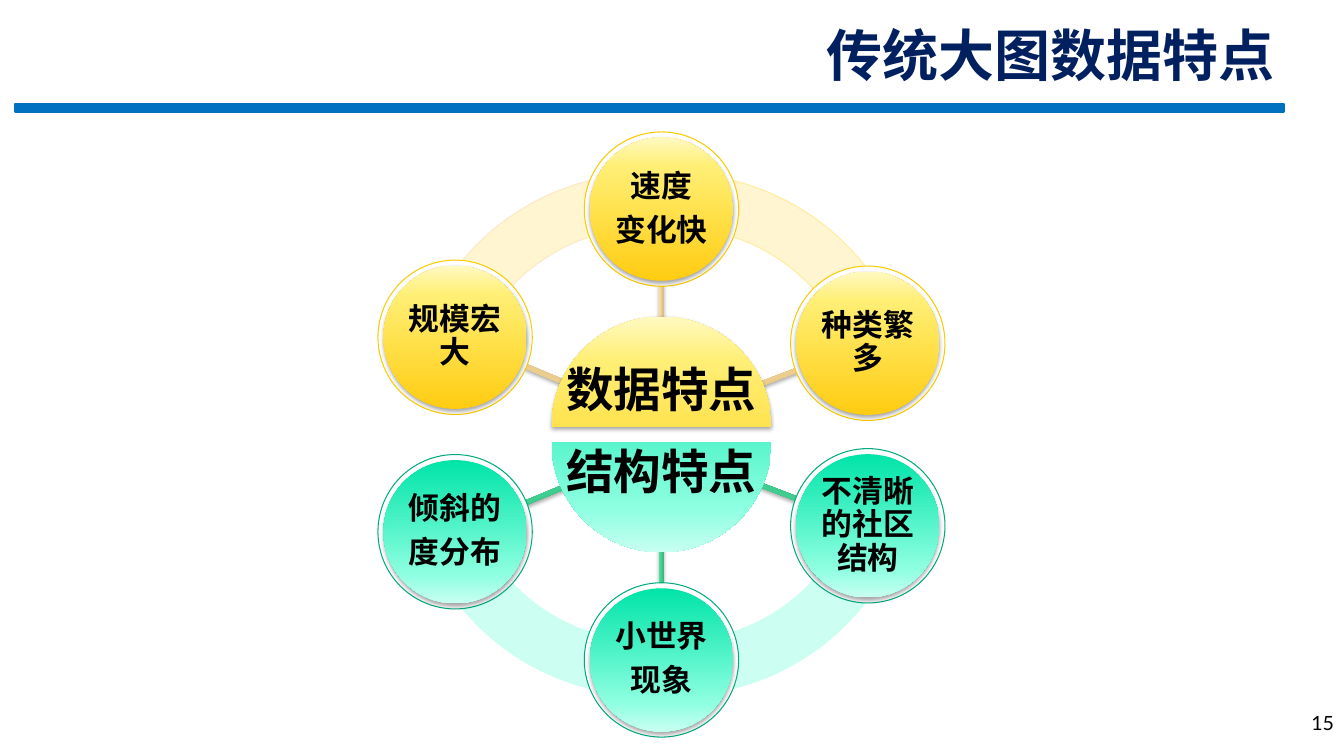
"""Build a slide on the data and structure features of traditional large graphs."""
from dataclasses import dataclass

from lxml import etree
from pptx import Presentation
from pptx.dml.color import RGBColor
from pptx.enum.shapes import MSO_SHAPE
from pptx.enum.text import MSO_ANCHOR, PP_ALIGN
from pptx.oxml.ns import qn
from pptx.util import Cm, Pt

RECTANGLE, OVAL, PIE = MSO_SHAPE.RECTANGLE, MSO_SHAPE.OVAL, MSO_SHAPE.PIE
BAND, SPOKE = MSO_SHAPE.LEFT_RIGHT_CIRCULAR_ARROW, MSO_SHAPE.LEFT_RIGHT_ARROW
TOP, MIDDLE, BOTTOM = MSO_ANCHOR.TOP, MSO_ANCHOR.MIDDLE, MSO_ANCHOR.BOTTOM
CENTER, RIGHT = PP_ALIGN.CENTER, PP_ALIGN.RIGHT
LATO, NOTO = "Lato", "Noto Sans CJK SC"


@dataclass(frozen=True)
class Theme:
    """Colours and type sizes."""
    ink: str = "000000"
    title: str = "002060"
    bar: str = "0070C0"
    paper: str = "FFFFFF"
    title_size: int = 40
    half_size: int = 34
    ball_size: int = 22
    number_size: int = 14


THEME = Theme()
TITLE = "传统大图数据特点"
PAGE_NUMBER = "15"
HALVES = [
    {"label": "数据特点", "font": LATO, "side": -1, "label_offset": 1.17,
     "balls": [(["规模宏大"], NOTO), (["速度", "变化快"], LATO), (["种类繁多"], NOTO)],
     "gradient": ("FFCC11", "FFEF75", "FFF9C1"), "angle": 270,
     "spoke": ("C8AD76", "FFE09E", "FFE0A0"), "ring": "FACB00",
     "band": "FFF5CC", "band_lines": ("FFEC99", "FBE8C6"),
     "pie": (108, 0), "pie_shadow": True},
    {"label": "结构特点", "font": NOTO, "side": 1, "label_offset": 0.9,
     "balls": [(["倾斜的", "度分布"], NOTO), (["小世界", "现象"], NOTO),
               (["不清晰的社区结构"], NOTO)],
     "gradient": ("00E4A8", "8EFFE1", "C7FFF0"), "angle": 90,
     "spoke": ("20AC6F", "54DFA2", "88E9BE"), "ring": "00AB7E",
     "band": "C7FFF0", "band_lines": ("C7FFF0", "C7FFF0"),
     "pie": (0, 108), "pie_shadow": False},
]

CENTER_X, MIRROR_Y = 16.67, 10.95
BALL_PLACES = [(-5.2, 2.45), (0, 5.68), (5.2, 2.3)]
BALL, RING = 3.61, 3.89
BANDS = [(0.33, 199.87, 163.96), (-0.33, 160.53, 125.3)]
BAND_SIZE, BAND_RISE = 12.75, 0.48
SPOKES = [(3.02, 1.47, 3.18, 339), (0, 3.47, 3.07, 270), (-3.06, 1.57, 3.2, 202.6)]
SPOKE_WIDTH = 0.2
PIE_SIZE, PIE_RISE = 5.54, 0.2


def add_xml(parent, tag, **attributes):
    return etree.SubElement(parent, qn(tag), attributes)


def add_shape(page, kind, x, y, width, height):
    shape = page.shapes.add_shape(
        kind, Cm(x - width / 2), Cm(y - height / 2), Cm(width), Cm(height))
    shape.shadow.inherit = False
    shape.line.fill.background()
    return shape


def paint(shape, fill, line=None, width=0.75):
    shape.fill.solid()
    shape.fill.fore_color.rgb = RGBColor.from_string(fill)
    if line:
        shape.line.color.rgb = RGBColor.from_string(line)
        shape.line.width = Pt(width)


def paint_gradient(shape, colors, angle):
    shape.fill.gradient()
    gradient = shape._element.spPr.find(qn("a:gradFill"))
    for child in list(gradient):
        gradient.remove(child)
    gradient.set("rotWithShape", "1")
    stops = add_xml(gradient, "a:gsLst")
    for position, color in zip((0, 80000, 100000), colors):
        stop = add_xml(stops, "a:gs", pos=str(position))
        add_xml(stop, "a:srgbClr", val=color)
    add_xml(gradient, "a:lin", ang=str(angle * 60000), scaled="0")


def add_shadow(shape):
    effects = shape._element.spPr.find(qn("a:effectLst"))
    shadow = add_xml(effects, "a:outerShdw", blurRad=str(Pt(3.1)), dist=str(Pt(1.8)),
                     dir="5400000", rotWithShape="0")
    color = add_xml(shadow, "a:srgbClr", val=THEME.ink)
    add_xml(color, "a:alpha", val="35000")


def write(shape, lines, size, font, align=CENTER, anchor=MIDDLE, color=THEME.ink,
          bold=True, spacing=1.0, inset=0.0, wrap=True):
    frame = shape.text_frame
    frame.word_wrap = wrap
    frame.vertical_anchor = anchor
    frame.margin_left = frame.margin_right = Cm(inset)
    frame.margin_top = frame.margin_bottom = Cm(inset / 2)
    for index, line in enumerate(lines):
        para = frame.add_paragraph() if index else frame.paragraphs[0]
        para.alignment = align
        para.line_spacing = spacing
        if index:
            para.space_before = Pt(size * 0.35)
        span = para.add_run()
        span.text = line
        span.font.name = font
        span.font.size = Pt(size)
        span.font.bold = bold
        span.font.color.rgb = RGBColor.from_string(color)
        add_xml(span.font._element, "a:ea", typeface=NOTO)


def add_text(page, x, y, width, height, lines, size, font, **style):
    box = page.shapes.add_textbox(Cm(x), Cm(y), Cm(width), Cm(height))
    write(box, lines, size, font, **style)


def add_half(page, half):
    side = half["side"]

    def level(rise):
        return MIRROR_Y + side * rise

    for (shift, end, start), line in zip(BANDS, half["band_lines"]):
        band = add_shape(page, BAND, CENTER_X + shift, level(BAND_RISE), BAND_SIZE, BAND_SIZE)
        for index, value in enumerate((0.107, 3.588, end, start, 0.075)):
            band.adjustments[index] = value
        paint(band, half["band"], line)
        for color in band._element.spPr.iter(qn("a:srgbClr")):
            add_xml(color, "a:alpha", val="90000")
        if side > 0:
            band._element.spPr.get_or_add_xfrm().set("flipV", "1")

    for shift, rise, length, turn in SPOKES:
        spoke = add_shape(page, SPOKE, CENTER_X + shift, level(rise), length, SPOKE_WIDTH)
        spoke.adjustments[0] = 0.6
        spoke.rotation = -side * turn % 360
        paint_gradient(spoke, half["spoke"], half["angle"])
        add_shadow(spoke)

    pie = add_shape(page, PIE, CENTER_X, level(PIE_RISE), PIE_SIZE, PIE_SIZE)
    pie.adjustments[0], pie.adjustments[1] = half["pie"]
    paint_gradient(pie, half["gradient"], half["angle"])
    if half["pie_shadow"]:
        add_shadow(pie)
    add_text(page, CENTER_X - 2.7, level(half["label_offset"]) - 0.85, 5.4, 1.7,
             [half["label"]], THEME.half_size, half["font"], wrap=False)

    for (shift, rise), (lines, font) in zip(BALL_PLACES, half["balls"]):
        x, y = CENTER_X + shift, level(rise)
        paint(add_shape(page, OVAL, x, y, RING, RING), THEME.paper, half["ring"])
        ball = add_shape(page, OVAL, x, y, BALL, BALL)
        paint_gradient(ball, half["gradient"], half["angle"])
        add_shadow(ball)
        write(ball, lines, THEME.ball_size, font, spacing=0.9)


def main():
    deck = Presentation()
    deck.slide_width, deck.slide_height = Cm(33.87), Cm(19.05)
    page = deck.slides.add_slide(deck.slide_layouts[6])
    paint(add_shape(page, RECTANGLE, 16.37, 2.72, 31.98, 0.2), THEME.bar, THEME.bar, 2)
    add_text(page, 26.81, 17.78, 7.06, 1.27, [PAGE_NUMBER], THEME.number_size, LATO,
             align=RIGHT, anchor=TOP, bold=False, inset=0.25)
    for half in HALVES:
        add_half(page, half)
    add_text(page, 13.34, 0.86, 19.02, 1.47, [TITLE], THEME.title_size, NOTO,
             align=RIGHT, anchor=BOTTOM, color=THEME.title, inset=0.25)
    deck.save("out.pptx")


if __name__ == "__main__":
    main()
